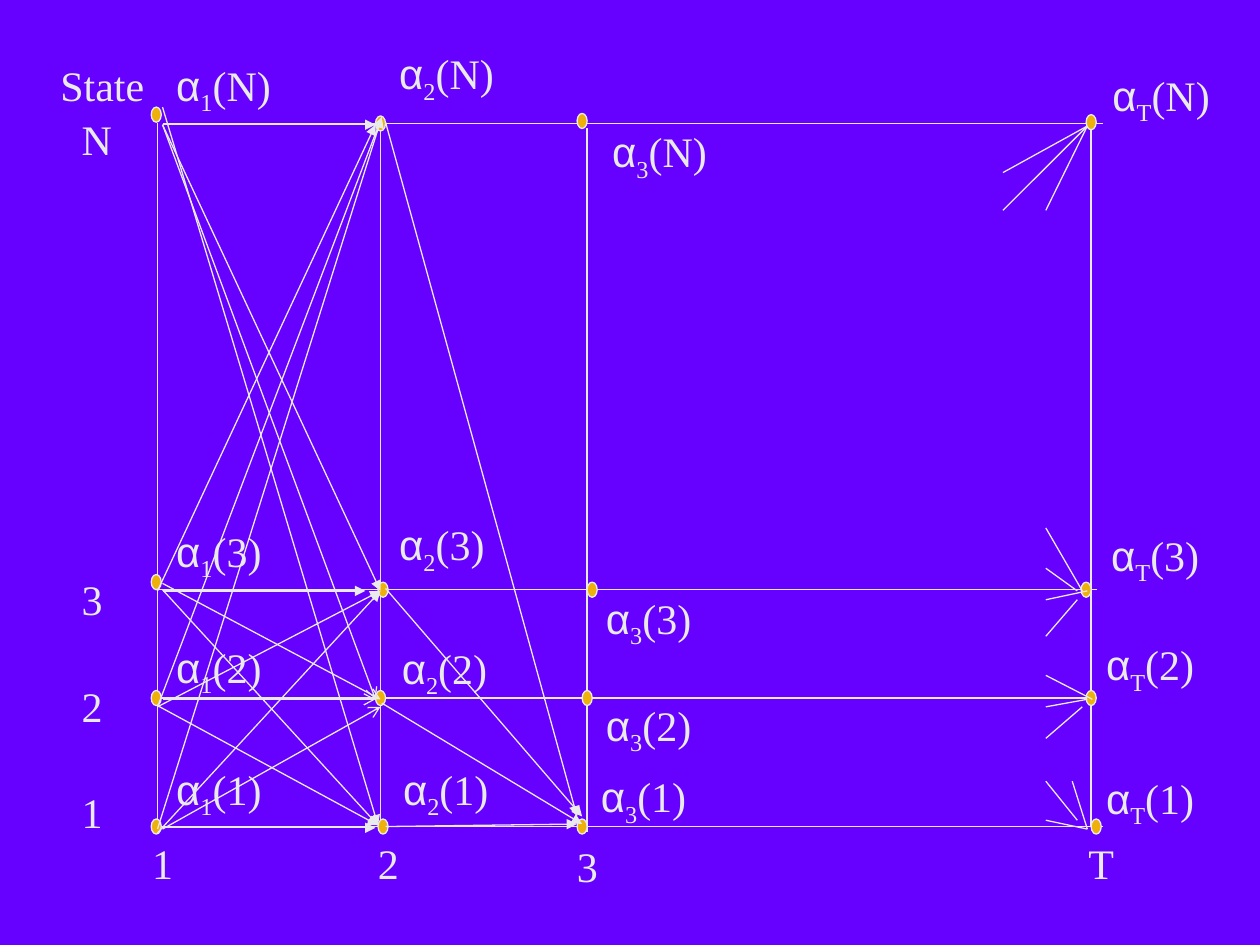
from lxml import etree
from pptx import Presentation
from pptx.dml.color import RGBColor
from pptx.enum.shapes import MSO_CONNECTOR, MSO_SHAPE
from pptx.enum.text import MSO_AUTO_SIZE
from pptx.oxml.ns import qn
from pptx.util import Inches, Pt

color = RGBColor.from_string
BACKGROUND, LIGHT, GOLD = "6600FF", "EAEAEA", "EEB00B"

presentation = Presentation()
presentation.slide_width = Inches(10)
presentation.slide_height = Inches(7.5)
slide = presentation.slides.add_slide(presentation.slide_layouts[6])
slide.background.fill.solid()
slide.background.fill.fore_color.rgb = color(BACKGROUND)


def add_line(x1, y1, x2, y2, arrowhead=None):
    line = slide.shapes.add_connector(
        MSO_CONNECTOR.STRAIGHT, Inches(x1), Inches(y1), Inches(x2), Inches(y2))
    line.line.color.rgb = color(LIGHT)
    line.line.width = Pt(0.75)
    if arrowhead:
        tail = etree.SubElement(line.line._get_or_add_ln(), qn("a:tailEnd"))
        tail.set("type", arrowhead)
    etree.SubElement(line._element.spPr, qn("a:effectLst"))


def add_label(x, y, width, height, runs):
    """Add a one-line text box; runs holds (text, font name, is subscript)."""
    box = slide.shapes.add_textbox(
        Inches(x), Inches(y), Inches(width), Inches(height))
    frame = box.text_frame
    frame.word_wrap = False
    frame.auto_size = MSO_AUTO_SIZE.SHAPE_TO_FIT_TEXT
    for text, font_name, subscript in runs:
        run = frame.paragraphs[0].add_run()
        run.text = text
        run.font.name = font_name
        run.font.size = Pt(24)
        run.font.color.rgb = color(LIGHT)
        if subscript:
            run._r.get_or_add_rPr().set("baseline", "-25000")


# Trellis grid: one horizontal per state, one vertical per time step
for x1, x2, y in [(1.25, 8.75, 6.56), (1.25, 8.71, 5.54),
                  (1.25, 8.71, 4.68), (1.29, 8.75, 0.98)]:
    add_line(x1, y, x2, y)
for x, y1, y2 in [(1.25, 0.98, 6.56), (3.02, 0.99, 6.57),
                  (4.66, 1.02, 6.6), (8.66, 0.98, 6.56)]:
    add_line(x, y1, x, y2)

# Nodes (left, top), by state
nodes = [
    (1.2, 6.5), (3, 6.5), (4.58, 6.5), (8.66, 6.5),
    (1.2, 5.48), (2.98, 5.48), (4.62, 5.48), (8.62, 5.48),
    (1.2, 4.56), (3, 4.62), (4.66, 4.62), (8.58, 4.62),
    (1.2, 0.85), (2.98, 0.92), (4.58, 0.9), (8.62, 0.91),
]
for x, y in nodes:
    node = slide.shapes.add_shape(
        MSO_SHAPE.OVAL, Inches(x), Inches(y), Inches(0.08), Inches(0.12))
    node.shadow.inherit = False
    node.fill.solid()
    node.fill.fore_color.rgb = color(GOLD)
    node.line.color.rgb = color(LIGHT)
    node.line.width = Pt(0.75)

# Axis labels: states, then time steps
axis_labels = [
    ("State", 0.38, 0.42, 0.92), ("N", 0.55, 0.85, 0.44),
    ("3", 0.55, 4.5, 0.36), ("2", 0.55, 5.35, 0.36), ("1", 0.55, 6.19, 0.36),
    ("1", 1.11, 6.6, 0.36), ("2", 2.9, 6.6, 0.36),
    ("3", 4.48, 6.62, 0.36), ("T", 8.54, 6.6, 0.4),
]
for text, x, y, width in axis_labels:
    add_label(x, y, width, 0.5, [(text, "Times New Roman", False)])

# Forward variables: label positions for each time step, states 1, 2, 3, N
alpha_positions = {
    "1": [(1.3, 6.01), (1.3, 5.04), (1.3, 4.12), (1.3, 0.42)],
    "2": [(3.1, 6.01), (3.09, 5.05), (3.07, 4.07), (3.07, 0.33)],
    "3": [(4.67, 6.07), (4.71, 5.5), (4.71, 4.65), (4.76, 0.95)],
    "T": [(8.68, 6.08), (8.68, 5.02), (8.72, 4.15), (8.73, 0.5)],
}
for time, positions in alpha_positions.items():
    for state, (x, y) in zip("123N", positions):
        width = 0.89 + 0.08 * (state == "N") + 0.02 * (time == "T")
        add_label(x, y, width, 0.56, [
            ("α", "Arial", False),
            (time, "Times New Roman", True),
            (f"({state})", "Times New Roman", False)])

# Transitions, grouped by the node they reach
transitions = [
    ("triangle", [(1.25, 5.6, 3, 6.55), (1.29, 4.68, 3, 6.55),
                  (1.29, 0.85, 3, 6.55), (1.29, 6.57, 2.98, 6.57)]),
    ("arrow", [(1.29, 6.58, 3.02, 5.61), (1.29, 4.63, 3.02, 5.55),
               (1.29, 0.99, 2.98, 5.55), (1.29, 5.55, 2.98, 5.55)]),
    ("triangle", [(1.25, 6.61, 3.02, 4.69), (1.25, 5.61, 3.02, 4.69),
                  (1.29, 0.99, 3.02, 4.69), (1.29, 4.69, 2.9, 4.69)]),
    ("triangle", [(1.25, 4.69, 2.98, 0.99), (1.25, 5.61, 3.03, 0.93),
                  (1.25, 6.58, 3.03, 0.93), (1.29, 0.99, 2.98, 0.99)]),
    ("triangle", [(3.06, 6.56, 4.58, 6.54), (3.03, 5.58, 4.62, 6.54),
                  (3.06, 4.67, 4.62, 6.48), (3.06, 0.97, 4.58, 6.48)]),
]
for arrowhead, lines in transitions:
    for ends in lines:
        add_line(*ends, arrowhead)

# Line stubs that fan into the nodes at time T
final_stubs = [
    (8.63, 1, 7.96, 1.37), (8.63, 1, 7.96, 1.67), (8.63, 1, 8.3, 1.67),
    (8.3, 5.05, 8.55, 4.76), (8.3, 4.19, 8.59, 4.69),
    (8.3, 4.51, 8.55, 4.69), (8.3, 4.76, 8.63, 4.69),
    (8.3, 5.36, 8.67, 5.55), (8.3, 5.61, 8.63, 5.55), (8.3, 5.86, 8.59, 5.61),
    (8.51, 6.2, 8.63, 6.58), (8.55, 6.51, 8.3, 6.2), (8.3, 6.51, 8.63, 6.58),
]
for ends in final_stubs:
    add_line(*ends)

presentation.save("out.pptx")
